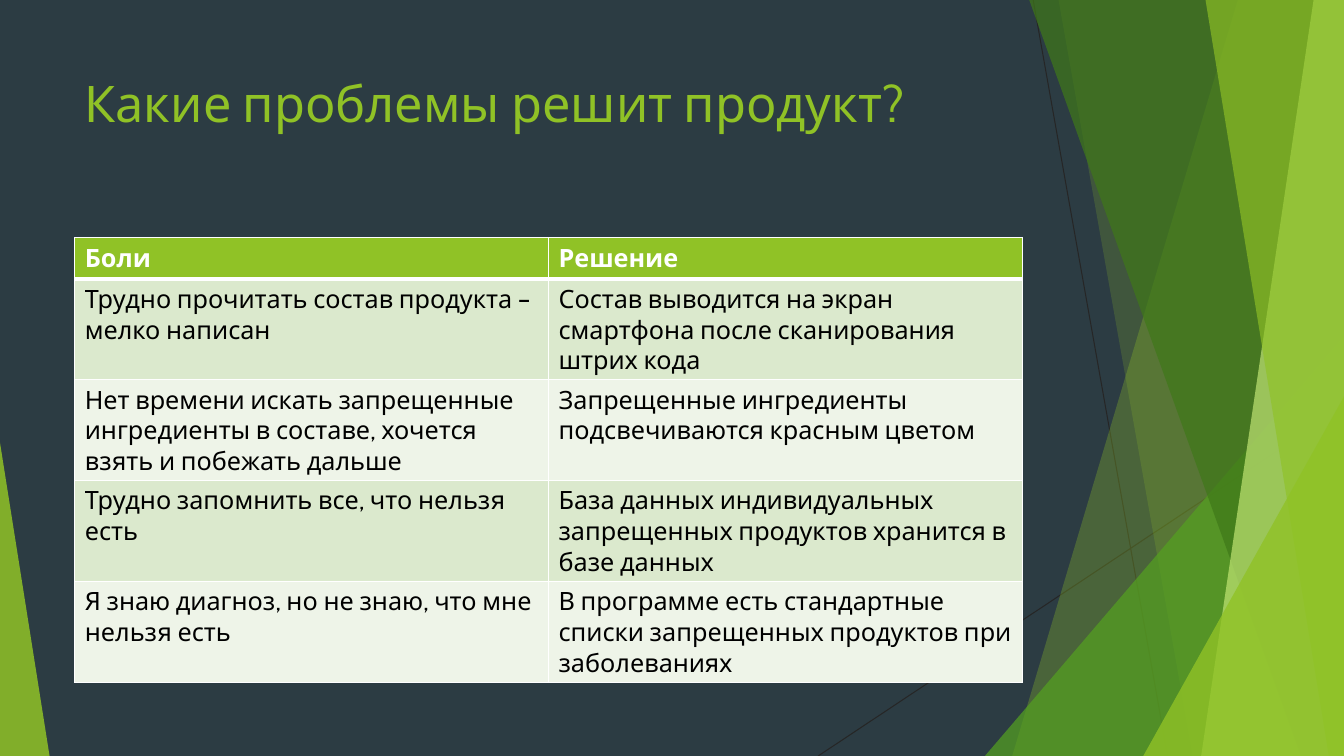
from dataclasses import dataclass

from lxml import etree
from pptx import Presentation
from pptx.dml.color import RGBColor
from pptx.enum.shapes import MSO_CONNECTOR, MSO_SHAPE
from pptx.enum.text import MSO_ANCHOR, PP_ALIGN
from pptx.oxml.ns import qn
from pptx.util import Inches, Pt

STRAIGHT = MSO_CONNECTOR.STRAIGHT
TRIANGLE = MSO_SHAPE.ISOSCELES_TRIANGLE
TOP = MSO_ANCHOR.TOP
LEFT = PP_ALIGN.LEFT

# The grid: 160 columns by 90 rows of square cells
COLUMNS, ROWS = 160, 90
CELL = Inches(7.5) / ROWS


@dataclass(frozen=True)
class Theme:
    font: str = "Cabin"
    title_size: int = 36
    table_size: int = 18
    background: str = "2C3C43"
    accent: str = "90C226"
    leaf: str = "54A021"
    forest: str = "3F7819"
    lime: str = "C0E474"
    hairline: str = "262626"
    white: str = "FFFFFF"
    black: str = "000000"
    bands: tuple = ("DBE9CD", "EEF4E8")


def grid(*lengths):
    return [round(length * CELL) for length in lengths]


def write(frame, text, *, font, size, color, bold=False):
    frame.word_wrap = True
    para = frame.paragraphs[0]
    para.alignment = LEFT
    span = para.add_run()
    span.text = text
    span.font.name = font
    span.font.size = Pt(size)
    span.font.bold = bold
    span.font.color.rgb = RGBColor.from_string(color)


class SlideBuilder:
    def __init__(self, deck, theme):
        self.theme = theme
        self.slide = deck.slides.add_slide(deck.slide_layouts[6])
        self.shapes = self.slide.shapes
        fill = self.slide.background.fill
        fill.solid()
        fill.fore_color.rgb = RGBColor.from_string(theme.background)

    def paint(self, shape, color, opacity):
        shape.shadow.inherit = False
        shape.line.fill.background()
        shape.fill.solid()
        shape.fill.fore_color.rgb = RGBColor.from_string(color)
        tint = next(shape.element.iter(qn("a:srgbClr")))
        etree.SubElement(tint, qn("a:alpha"), val=str(opacity * 1000))

    def line(self, *ends):
        connector = self.shapes.add_connector(STRAIGHT, *grid(*ends))
        connector.line.color.rgb = RGBColor.from_string(self.theme.hairline)
        connector.line.width = Pt(0.75)
        etree.SubElement(connector.element.spPr, qn("a:effectLst"))

    def shard(self, top_left, bottom_left, color, opacity):
        """A full-height band that reaches the right edge."""
        start, *corners = [
            grid(*point)
            for point in ((top_left, -0.1), (COLUMNS, -0.1), (COLUMNS, ROWS), (bottom_left, ROWS))
        ]
        outline = self.shapes.build_freeform(*start)
        outline.add_line_segments(corners, close=True)
        self.paint(outline.convert_to_shape(), color, opacity)

    def corner(self, left, top, width, apex, color, opacity):
        """A right triangle that stands on the bottom edge."""
        shape = self.shapes.add_shape(TRIANGLE, *grid(left, top, width, ROWS - top))
        shape.adjustments[0] = apex
        self.paint(shape, color, opacity)

    def title(self, text, *place):
        box = self.shapes.add_textbox(*grid(*place))
        box.text_frame.vertical_anchor = TOP
        write(box.text_frame, text, font=self.theme.font,
              size=self.theme.title_size, color=self.theme.accent)

    def border(self, cell, side, points):
        edge = etree.SubElement(cell._tc.get_or_add_tcPr(), qn(f"a:ln{side}"), w=str(Pt(points)))
        fill = etree.SubElement(edge, qn("a:solidFill"))
        etree.SubElement(fill, qn("a:srgbClr"), val=self.theme.white)

    def table(self, content, left, top, width, height, row_height):
        theme = self.theme
        frame = self.shapes.add_table(
            len(content), len(content[0]), *grid(left, top, width, height))
        for index, (row, texts) in enumerate(zip(frame.table.rows, content)):
            row.height = grid(row_height)[0]
            header = index == 0
            for cell, text in zip(row.cells, texts):
                # Heavy rule between the header and the first row
                for side in "LRTB":
                    heavy = (side == "B" and header) or (side == "T" and index == 1)
                    self.border(cell, side, 3 if heavy else 1)
                cell.fill.solid()
                cell.fill.fore_color.rgb = RGBColor.from_string(
                    theme.accent if header else theme.bands[(index - 1) % 2])
                write(cell.text_frame, text, font=theme.font, size=theme.table_size,
                      color=theme.white if header else theme.black, bold=header)
        frame.height = grid(height)[0]


PROBLEMS = [
    ("Боли", "Решение"),
    ("Трудно прочитать состав продукта – мелко написан",
     "Состав выводится на экран смартфона после сканирования штрих кода"),
    ("Нет времени искать запрещенные ингредиенты в составе, хочется взять и побежать дальше",
     "Запрещенные ингредиенты подсвечиваются красным цветом"),
    ("Трудно запомнить все, что нельзя есть",
     "База данных индивидуальных запрещенных продуктов хранится в базе данных"),
    ("Я знаю диагноз, но не знаю, что мне нельзя есть",
     "В программе есть стандартные списки запрещенных продуктов при заболеваниях"),
]


def main():
    deck = Presentation()
    deck.slide_width, deck.slide_height = grid(COLUMNS, ROWS)
    theme = Theme()
    page = SlideBuilder(deck, theme)

    # Hairlines behind the shards
    page.line(123, 0, 139, ROWS)
    page.line(COLUMNS, 48.4, 97.4, ROWS)

    # Translucent shards, from back to front
    page.shard(147.4, 120.5, theme.accent, 30)
    page.shard(126, 142, theme.accent, 20)
    page.corner(117.25, 40, 42.75, 1, theme.leaf, 72)
    page.shard(122.5, 154.9, theme.forest, 70)
    page.shard(156.4, 143, theme.lime, 70)
    page.shard(143.5, 158.2, theme.accent, 65)
    page.corner(136.1, 47.2, 23.9, 1, theme.accent, 80)
    page.corner(0, 52.7, 5.9, 0, theme.accent, 85)

    # Title and table share one left edge and width
    left, width = 8.9, 112.8
    page.title("Какие проблемы решит продукт?", left, 8, width, 17.3)
    page.table(PROBLEMS, left, 28.3, width, 49.3, row_height=4.9)

    deck.save("out.pptx")


if __name__ == "__main__":
    main()
